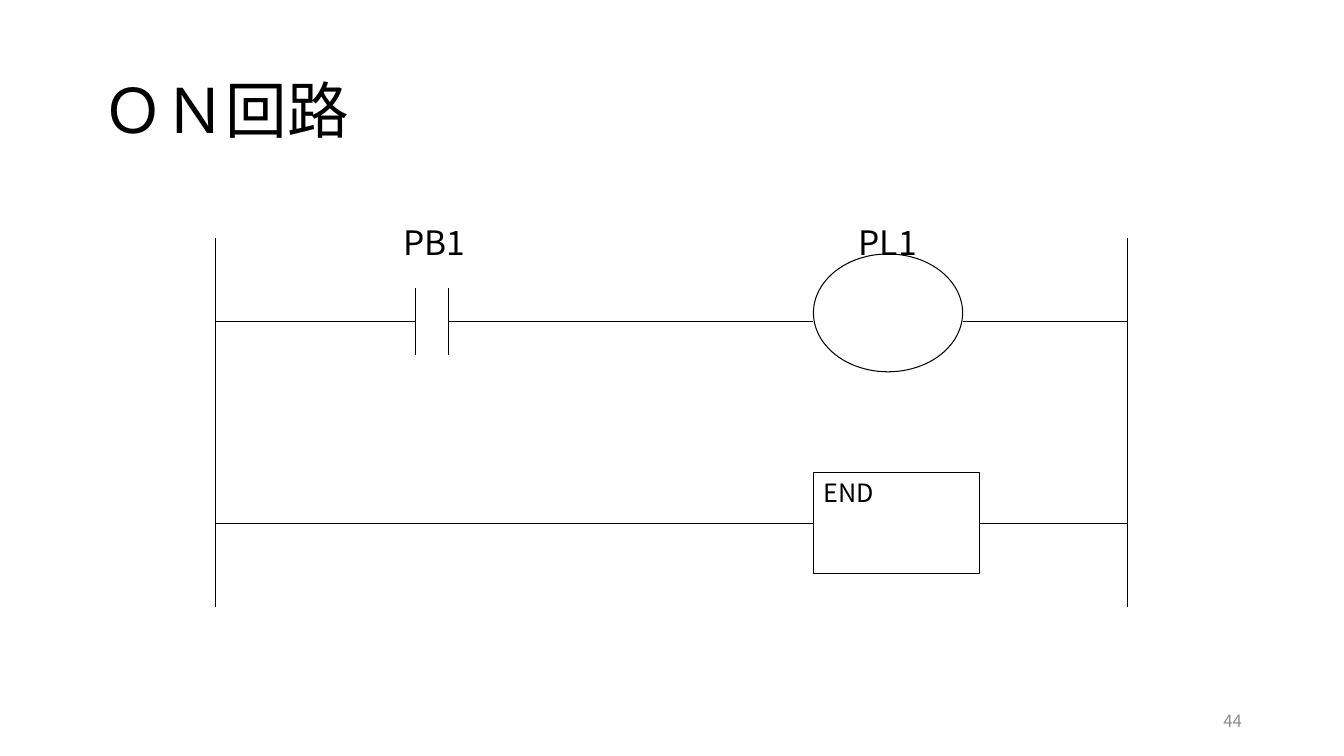
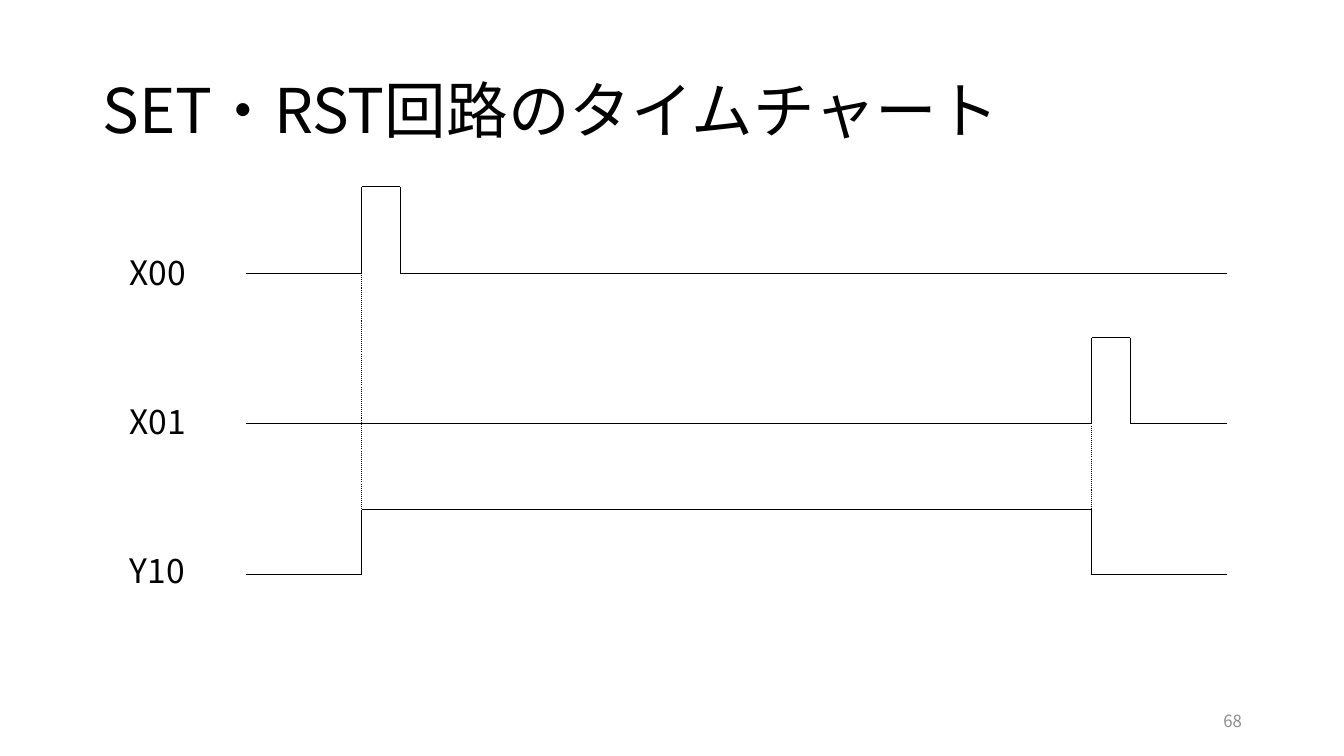
from dataclasses import dataclass
from itertools import pairwise

from lxml.etree import SubElement
from pptx import Presentation
from pptx.dml.color import RGBColor
from pptx.enum.dml import MSO_LINE
from pptx.enum.shapes import MSO_CONNECTOR, MSO_SHAPE
from pptx.enum.text import MSO_ANCHOR, PP_ALIGN
from pptx.oxml.ns import qn
from pptx.slide import Slide
from pptx.text.text import TextFrame
from pptx.util import Cm, Pt

FONT = "Noto Sans CJK JP"
INK, PAPER, MUTED = "000000", "FFFFFF", "8C8C8C"
STROKE = Pt(0.75)
Point = tuple[float, float]


@dataclass
class Box:
    left: float
    top: float
    width: float
    height: float

    def lengths(self) -> tuple[Cm, Cm, Cm, Cm]:
        return Cm(self.left), Cm(self.top), Cm(self.width), Cm(self.height)


@dataclass
class Signal:
    name: str
    low: float
    high: float
    rise: float
    fall: float


TITLE_BOX = Box(2.34, 1.02, 29.21, 3.68)
NUMBER_BOX = Box(23.93, 17.65, 7.62, 1.02)


def color(value: str) -> RGBColor:
    return RGBColor.from_string(value)


def write(frame: TextFrame, text: str, size: float, ink: str = INK,
          anchor: MSO_ANCHOR = MSO_ANCHOR.TOP,
          align: PP_ALIGN = PP_ALIGN.LEFT, spacing: float = 1.0) -> None:
    frame.word_wrap = True
    frame.vertical_anchor = anchor
    paragraph = frame.paragraphs[0]
    paragraph.alignment = align
    paragraph.line_spacing = spacing
    run = paragraph.add_run()
    run.text = text
    run.font.size = Pt(size)
    run.font.color.rgb = color(ink)
    run.font.name = FONT
    SubElement(run.font._element, qn("a:ea")).set("typeface", FONT)


def add_label(slide: Slide, left: float, top: float, text: str) -> None:
    box = Box(left, top, 2.4, 1.27)
    write(slide.shapes.add_textbox(*box.lengths()).text_frame, text, 24)


def add_wire(slide: Slide, *points: Point, dotted: bool = False) -> None:
    """Join the points, one after the other, by straight lines."""
    for start, end in pairwise(points):
        wire = slide.shapes.add_connector(
            MSO_CONNECTOR.STRAIGHT, *map(Cm, start + end))
        wire.line.color.rgb = color(INK)
        wire.line.width = STROKE
        if dotted:
            wire.line.dash_style = MSO_LINE.ROUND_DOT
        SubElement(wire._element.spPr, qn("a:effectLst"))


def add_device(slide: Slide, kind: MSO_SHAPE, box: Box) -> TextFrame:
    device = slide.shapes.add_shape(kind, *box.lengths())
    device.shadow.inherit = False
    device.fill.solid()
    device.fill.fore_color.rgb = color(PAPER)
    device.line.color.rgb = color(INK)
    device.line.width = STROKE
    return device.text_frame


def add_slide(deck: Presentation, title: str, number: int) -> Slide:
    slide = deck.slides.add_slide(deck.slide_layouts[6])
    heading = slide.shapes.add_textbox(*TITLE_BOX.lengths())
    write(heading.text_frame, title, 44, anchor=MSO_ANCHOR.MIDDLE, spacing=0.9)
    footer = slide.shapes.add_textbox(*NUMBER_BOX.lengths())
    write(footer.text_frame, str(number), 12, MUTED, MSO_ANCHOR.MIDDLE, PP_ALIGN.RIGHT)
    return slide


def draw_ladder(slide: Slide) -> None:
    left_rail, right_rail = 5.44, 28.42
    lamp_rung, end_rung = 8.1, 13.18
    contact_left, contact_right = 10.46, 11.3
    lamp = Box(20.5, 6.4, 3.76, 2.97)
    end = Box(20.5, 11.91, 4.19, 2.54)

    for rail in (left_rail, right_rail):
        add_wire(slide, (rail, 5.99), (rail, 15.29))
    for plate in (contact_left, contact_right):
        add_wire(slide, (plate, 7.26), (plate, 8.94))
    for start, stop, rung in (
        (left_rail, contact_left, lamp_rung),
        (contact_right, lamp.left, lamp_rung),
        (lamp.left + lamp.width, right_rail, lamp_rung),
        (left_rail, end.left, end_rung),
        (end.left + end.width, right_rail, end_rung),
    ):
        add_wire(slide, (start, rung), (stop, rung))
    add_device(slide, MSO_SHAPE.OVAL, lamp)
    write(add_device(slide, MSO_SHAPE.RECTANGLE, end), "END", 18)
    add_label(slide, 9.91, 5.46, "PB1")
    add_label(slide, 21.39, 5.46, "PL1")


def draw_time_chart(slide: Slide) -> None:
    start, stop = 6.2, 30.91
    set_time, reset_time, pulse = 9.12, 27.51, 0.97
    first_label, label_step = 6.22, 3.76
    signals = (
        Signal("X00", 6.88, 4.7, set_time, set_time + pulse),
        Signal("X01", 10.67, 8.51, reset_time, reset_time + pulse),
        Signal("Y10", 14.48, 12.85, set_time, reset_time),
    )
    for row, signal in enumerate(signals):
        add_label(slide, 3.02, first_label + row * label_step, signal.name)
        add_wire(
            slide,
            (start, signal.low), (signal.rise, signal.low),
            (signal.rise, signal.high), (signal.fall, signal.high),
            (signal.fall, signal.low), (stop, signal.low),
        )
    set_input, reset_input, output = signals
    for time, cause in ((set_time, set_input), (reset_time, reset_input)):
        add_wire(slide, (time, cause.low), (time, output.high), dotted=True)


def main() -> None:
    deck = Presentation()
    deck.slide_width, deck.slide_height = Cm(33.87), Cm(19.05)
    draw_ladder(add_slide(deck, "ＯＮ回路", 44))
    draw_time_chart(add_slide(deck, "SET・RST回路のタイムチャート", 68))
    deck.save("out.pptx")


if __name__ == "__main__":
    main()
